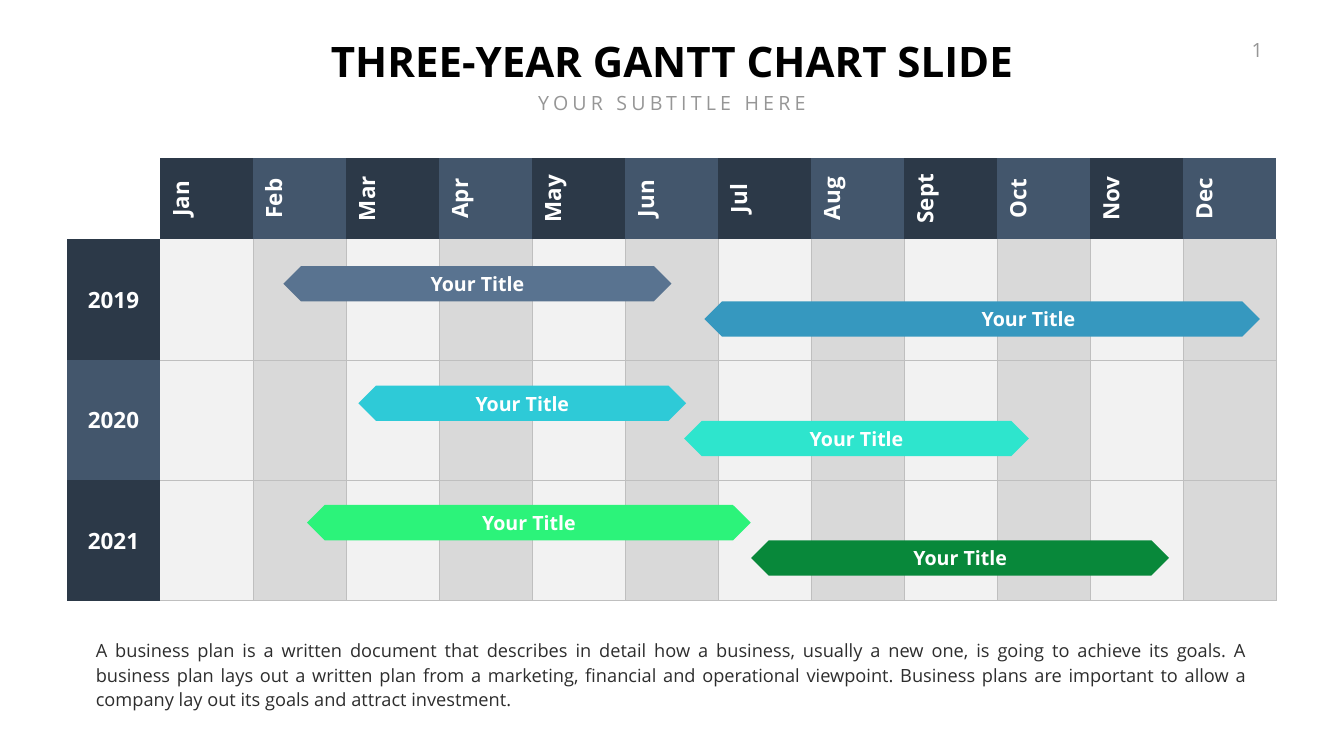
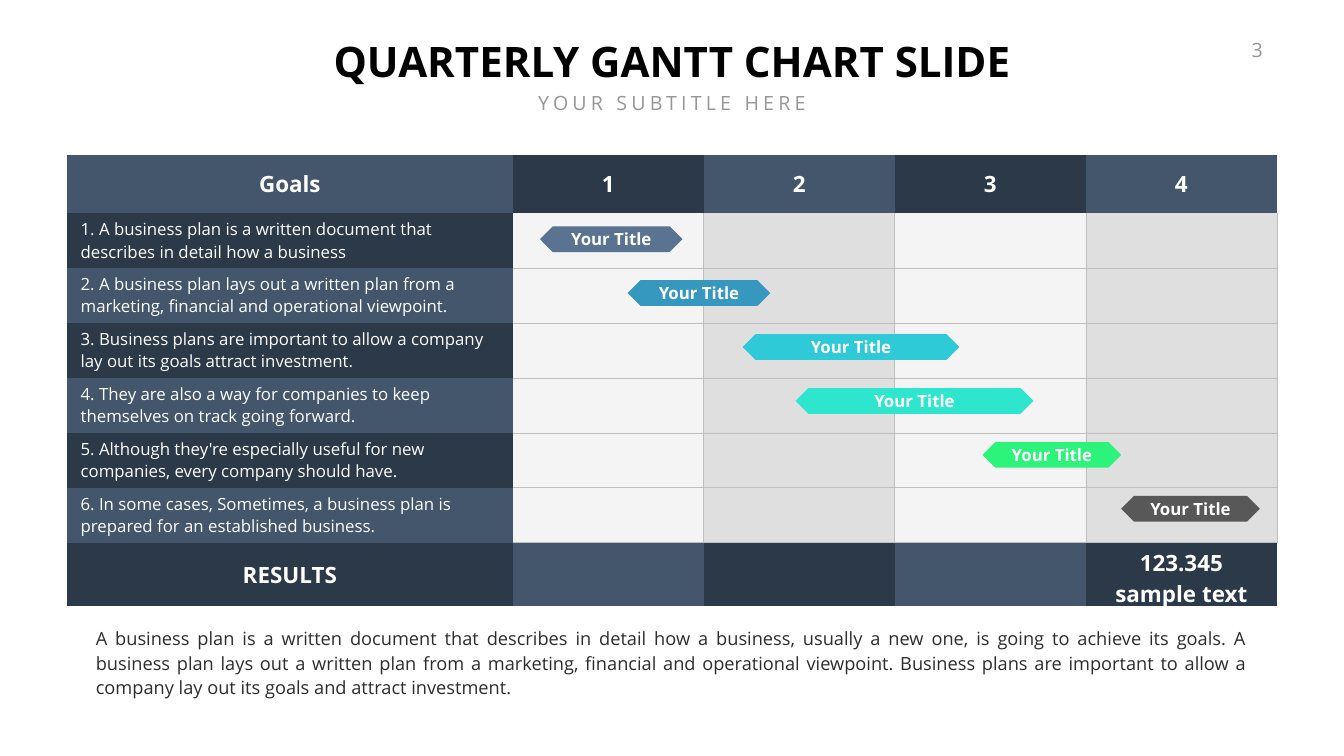
from pptx import Presentation
from pptx.dml.color import RGBColor
from pptx.enum.shapes import MSO_SHAPE
from pptx.enum.text import MSO_ANCHOR, MSO_AUTO_SIZE, PP_ALIGN
from pptx.oxml.ns import qn
from pptx.util import Inches, Pt
from lxml import etree

BAR_SHAPE = MSO_SHAPE.SNIP_2_DIAG_RECTANGLE
MIDDLE = MSO_ANCHOR.MIDDLE
GROW = MSO_AUTO_SIZE.SHAPE_TO_FIT_TEXT
LEFT, CENTER, RIGHT, JUSTIFY = (
    PP_ALIGN.LEFT, PP_ALIGN.CENTER, PP_ALIGN.RIGHT, PP_ALIGN.JUSTIFY)

FONT = "Open Sans"
PLAIN_TABLE = "{2D5ABB26-0587-4C30-8999-92F81FD0307C}"
COLORS = {
    "title": "000000", "muted": "969696", "body": "2D2D2D", "white": "FFFFFF",
    "dark": "2C3948", "slate": "43566C", "line": "BFBFBF",
    "light": "F2F2F2", "gray": "D9D9D9",
    "steel": "597390", "blue": "3698BF", "cyan": "2ECAD7", "aqua": "2EE5CD",
    "lime": "2CF37A", "green": "08883A", "charcoal": "585858",
}
BANDS = ("dark", "slate")

DESCRIPTION = (
    "A business plan is a written document that describes in detail how a business, "
    "usually a new one, is going to achieve its goals. A business plan lays out a "
    "written plan from a marketing, financial and operational viewpoint. Business "
    "plans are important to allow a company lay out its goals and attract investment.")
MONTHS = ["Jan", "Feb", "Mar", "Apr", "May", "Jun",
          "Jul", "Aug", "Sept", "Oct", "Nov", "Dec"]
YEARS = ["2019", "2020", "2021"]
YEAR_BARS = [
    (4.29, 7.7, "steel", 0), (12.64, 11.02, "blue", 0.92),
    (5.78, 6.5, "cyan", 0), (12.24, 6.84, "aqua", 0),
    (4.76, 8.8, "lime", 0), (13.57, 8.29, "green", 0),
]
ORDINALS = ["st", "nd", "rd", "th"]
GOALS = [
    "1. A business plan is a written document that describes in detail how a business",
    "2. A business plan lays out a written plan from a marketing, financial and "
    "operational viewpoint.",
    "3. Business plans are important to allow a company lay out its goals attract "
    "investment.",
    "4. They are also a way for companies to keep themselves on track going forward.",
    "5. Although they're especially useful for new companies, every company should have.",
    "6. In some cases, Sometimes, a business plan is prepared for an established business.",
]
GOAL_ROWS = [1.15, 0.98, 0.98, 1.02, 0.98, 1.02, 1.02, 0.32]
GOAL_BARS = [
    (9.38, 2.83, "steel"), (11.12, 2.83, "blue"), (13.4, 4.3, "cyan"),
    (14.45, 4.72, "aqua"), (18.16, 2.75, "lime"), (20.91, 2.75, "charcoal"),
]


def rgb(name):
    return RGBColor.from_string(COLORS[name])


def format_text(frame, size, color, bold=False, align=CENTER, spacing=None):
    for para in frame.paragraphs:
        para.alignment = align
        if spacing:
            para.line_spacing = Pt(spacing)
        for span in para.runs:
            span.font.name = FONT
            span.font.size = Pt(size)
            span.font.bold = bold
            span.font.color.rgb = rgb(color)


def fit_line(frame):
    frame.word_wrap = False
    frame.auto_size = GROW
    frame.vertical_anchor = MIDDLE


def add_line(page, box, text, size, color, bold=False, align=CENTER, tracking=0):
    frame = page.shapes.add_textbox(*map(Inches, box)).text_frame
    frame.text = text
    fit_line(frame)
    format_text(frame, size, color, bold, align)
    if tracking:
        frame.paragraphs[0].runs[0].font._element.set("spc", str(tracking * 100))


def add_header(page, title, number):
    heading = page.shapes.title
    heading.left, heading.top, heading.width, heading.height = map(
        Inches, (6.42, 0.64, 13.82, 1.11))
    heading.text_frame.text = title
    fit_line(heading.text_frame)
    format_text(heading.text_frame, 60, "title", bold=True)
    add_line(page, (10.51, 1.75, 5.64, 0.57), "YOUR SUBTITLE HERE", 28, "muted", tracking=6)
    add_line(page, (24.33, 0.7, 0.82, 0.57), number, 28, "muted", align=RIGHT, tracking=3)


def add_description(page, top):
    frame = page.shapes.add_textbox(*map(Inches, (1.66, top, 23.33, 1.68))).text_frame
    frame.text = DESCRIPTION
    frame.word_wrap = True
    frame.auto_size = GROW
    frame.margin_left = frame.margin_right = Inches(0.24)
    frame.margin_top = frame.margin_bottom = Inches(0.12)
    format_text(frame, 26, "body", align=JUSTIFY, spacing=35)
    frame.paragraphs[0].space_before = Pt(5.2)


def add_bar(page, box, color, size, label_width, label_height, shift=0):
    left, top, width, height = box
    bar = page.shapes.add_shape(BAR_SHAPE, *map(Inches, box))
    bar.adjustments[0] = bar.adjustments[1] = 0.5
    bar.shadow.inherit = False
    bar.fill.solid()
    bar.fill.fore_color.rgb = rgb(color)
    bar.line.fill.background()
    label_box = (left + (width - label_width) / 2 + shift,
                 top + (height - label_height) / 2, label_width, label_height)
    add_line(page, label_box, "Your Title", size, "white", bold=True)


def add_grid(page, box, columns, rows):
    holder = page.shapes.add_table(len(rows), len(columns), *map(Inches, box))
    grid = holder.table
    grid.first_row = grid.horz_banding = False
    grid._tbl.tblPr.find(qn("a:tableStyleId")).text = PLAIN_TABLE
    for column, width in zip(grid.columns, columns):
        column.width = Inches(width)
    for row, height in zip(grid.rows, rows):
        row.height = Inches(height)
    holder.height = Inches(box[3])
    return grid


def fill_cell(cell, color, alpha=None):
    cell.fill.solid()
    cell.fill.fore_color.rgb = rgb(color)
    if alpha:
        tint = cell._tc.tcPr.find(qn("a:solidFill")).find(qn("a:srgbClr"))
        etree.SubElement(tint, qn("a:alpha")).set("val", str(alpha * 1000))


def add_borders(cell, sides):
    properties = cell._tc.get_or_add_tcPr()
    for side in sides:
        line = etree.SubElement(properties, qn(f"a:ln{side}"), w=str(Pt(1)))
        paint = etree.SubElement(line, qn("a:solidFill"))
        etree.SubElement(paint, qn("a:srgbClr"), val=COLORS["line"])


def write_cell(cell, text, color, margin, size=32, bold=True, align=CENTER, spacing=None):
    cell.text_frame.text = text
    cell.vertical_anchor = MIDDLE
    cell.margin_left = cell.margin_right = Inches(margin)
    cell.margin_top = cell.margin_bottom = Inches(0.1)
    format_text(cell.text_frame, size, "white", bold, align, spacing)
    fill_cell(cell, color)


def body_sides(row, column, last_row=None):
    hidden = {"L": column == 1, "R": False, "T": row == 1, "B": row == last_row}
    return [side for side in hidden if not hidden[side]]


def add_year_gantt(page, box):
    left, top, width, height = box
    count = len(MONTHS) + 1
    grid = add_grid(page, box, [width / count] * count, [1.62] + [2.39] * len(YEARS))
    for column, month in enumerate(MONTHS, 1):
        cell = grid.cell(0, column)
        write_cell(cell, month, BANDS[(column - 1) % 2], 0.1)
        cell._tc.tcPr.set("vert", "vert270")
    for row, year in enumerate(YEARS, 1):
        write_cell(grid.cell(row, 0), year, BANDS[(row - 1) % 2], 0.26)
        for column in range(1, count):
            cell = grid.cell(row, column)
            add_borders(cell, body_sides(row, column))
            fill_cell(cell, "light" if column % 2 else "gray")
    for index, (offset, length, color, shift) in enumerate(YEAR_BARS):
        year_index, lane = divmod(index, 2)
        bar_top = top + 2.15 + 2.37 * year_index + 0.7 * lane
        add_bar(page, (left + offset, bar_top, length, 0.7), color, 28, 2.08, 0.57, shift)


def add_quarter_gantt(page, box):
    left, top, width, height = box
    grid = add_grid(page, box, [8.84] + [3.79] * 4, GOAL_ROWS)
    results = len(GOALS) + 1
    write_cell(grid.cell(0, 0), "Goals", "slate", 0.27)
    write_cell(grid.cell(results, 0), "RESULTS", "dark", 0.27)
    for column, ordinal in enumerate(ORDINALS, 1):
        cell = grid.cell(0, column)
        para = cell.text_frame.paragraphs[0]
        write_cell(cell, str(column), BANDS[(column - 1) % 2], 0.27)
        for text in (ordinal, " Q."):
            para.add_run().text = text
        format_text(cell.text_frame, 32, "white", bold=True)
        para.runs[1].font._element.set("baseline", "30000")
        fill_cell(grid.cell(results, column), BANDS[column % 2])
    write_cell(grid.cell(results, 4), "123.345\nsample text", "dark", 0.27)
    for row, goal in enumerate(GOALS, 1):
        write_cell(grid.cell(row, 0), goal, BANDS[(row - 1) % 2], 0.27,
                   size=24, bold=False, align=LEFT, spacing=32)
        for column in range(1, 5):
            cell = grid.cell(row, column)
            add_borders(cell, body_sides(row, column, len(GOALS)))
            fill_cell(cell, "body", 5 if column % 2 else 15)
    for index, (offset, length, color) in enumerate(GOAL_BARS):
        bar_box = (left + offset, top + 1.41 + 1.07 * index, length, 0.51)
        add_bar(page, bar_box, color, 24, 1.81, 0.5)


def add_page(deck, title, number, add_gantt, box, description_top):
    page = deck.slides.add_slide(deck.slide_layouts.get_by_name("Title Only"))
    add_header(page, title, number)
    add_gantt(page, box)
    add_description(page, description_top)


def main():
    deck = Presentation()
    deck.slide_width, deck.slide_height = Inches(26.66), Inches(15)
    add_page(deck, "THREE-YEAR GANTT CHART SLIDE", "1", add_year_gantt,
             (1.33, 3.13, 23.99, 8.79), 12.52)
    add_page(deck, "QUARTERLY GANTT CHART SLIDE", "3", add_quarter_gantt,
             (1.33, 3.08, 24, 8.8), 12.28)
    deck.save("out.pptx")


if __name__ == "__main__":
    main()
